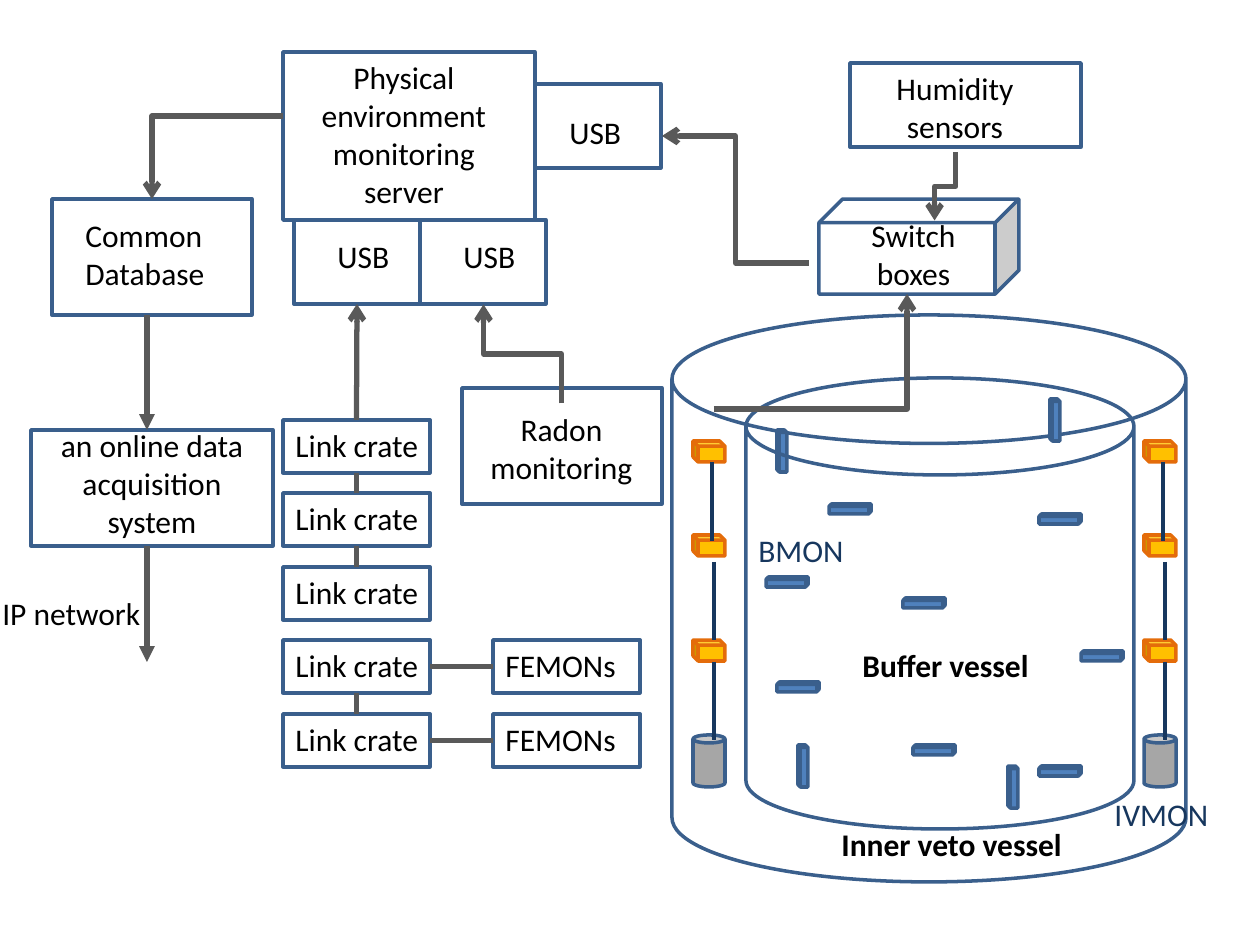
"""Build the detector monitoring system diagram slide."""
from pptx import Presentation
from pptx.dml.color import RGBColor
from pptx.enum.shapes import MSO_CONNECTOR as LINK, MSO_SHAPE as SHAPE
from pptx.enum.text import MSO_AUTO_SIZE as FIT, PP_ALIGN as ALIGN
from pptx.oxml.ns import qn
from pptx.util import Pt
from lxml.etree import SubElement

PX = 914400 / 126
COLORS = {
    "outline": "3A5F8C", "sensor": "4F81BD", "module": "FFC000", "module_edge": "E46C0A",
    "weight": "A6A6A6", "string": "17375E", "link": "595959", "white": "FFFFFF", "black": "000000",
}

prs = Presentation()
prs.slide_width, prs.slide_height = round(1260 * PX), round(945 * PX)
slide = prs.slides.add_slide(prs.slide_layouts[6])


def add_part(kind, left, top, width, height, fill=None, edge="outline", mirrored=False):
    part = slide.shapes.add_shape(kind, *(round(v * PX) for v in (left, top, width, height)))
    part.shadow.inherit = False
    if fill:
        part.fill.solid()
        part.fill.fore_color.rgb = RGBColor.from_string(COLORS[fill])
    else:
        part.fill.background()
    part.line.color.rgb = RGBColor.from_string(COLORS[edge])
    part.line.width = Pt(2)
    if mirrored:
        part._element.spPr.find(qn("a:xfrm")).set("flipH", "1")
    return part


def add_link(kind, x1, y1, x2, y2, head=None, color="link", weight=3):
    link = slide.shapes.add_connector(kind, *(round(v * PX) for v in (x1, y1, x2, y2)))
    link.line.color.rgb = RGBColor.from_string(COLORS[color])
    link.line.width = Pt(weight)
    properties = link._element.spPr
    if head:
        SubElement(properties.find(qn("a:ln")), qn("a:tailEnd"), type=head)
    SubElement(properties, qn("a:effectLst"))
    return link


add_part(SHAPE.CAN, 672, 315, 514, 567)
for left, top in [(766, 577), (777, 682), (903, 598), (913, 745), (1039, 514),
                  (829, 504), (1081, 651), (1039, 766)]:
    add_part(SHAPE.CUBE, left, top, 42, 10, "sensor")
for left, top in [(777, 430), (1050, 399), (798, 745), (1008, 766)]:
    add_part(SHAPE.CUBE, left, top, 10, 42, "sensor", mirrored=True)
add_part(SHAPE.CAN, 746, 378, 388, 451)

for left in (1144, 693):
    for top in (441, 535, 640):
        add_part(SHAPE.CUBE, left, top, 32, 21, "module", "module_edge", mirrored=True)
    add_part(SHAPE.CAN, left, 735, 32, 52, "weight")
    for offset, top, bottom in [(19, 462, 541), (21, 562, 640), (21, 662, 740)]:
        add_link(LINK.STRAIGHT, left + offset, top, left + offset, bottom, None, "string", 2.25)

add_part(SHAPE.CUBE, 819, 199, 200, 95, "white")
add_part(SHAPE.RECTANGLE, 283, 52, 252, 168, "white")
add_part(SHAPE.RECTANGLE, 535, 84, 126, 84, "white")
crate_usb = add_part(SHAPE.RECTANGLE, 294, 220, 126, 84, "white")
add_part(SHAPE.RECTANGLE, 420, 220, 126, 84)
for left, top, width, height in [(850, 63, 231, 84), (52, 199, 200, 116),
                                 (462, 388, 200, 116), (31, 430, 242, 116)]:
    add_part(SHAPE.RECTANGLE, left, top, width, height)

crate_tops = [420, 493, 567, 640, 714]
crates = [add_part(SHAPE.RECTANGLE, 283, top, 147, 53) for top in crate_tops]
femons = [add_part(SHAPE.RECTANGLE, 493, top, 147, 53) for top in crate_tops[3:]]

joints = [(crates[0], 0, crate_usb, 2, "arrow")]
joints += [(crates[i], 2, crates[i + 1], 0, None) for i in (0, 1, 3)]
joints += [(femon, 1, crate, 3, None) for femon, crate in zip(femons, crates[3:])]
for start, start_side, end, end_side, head in joints:
    joint = add_link(LINK.STRAIGHT, 0, 0, 0, 0, head)
    joint.begin_connect(start, start_side)
    joint.end_connect(end, end_side)

for top, bottom in [(315, 430), (546, 662)]:
    add_link(LINK.STRAIGHT, 147, top, 147, bottom, "triangle")

for x1, y1, x2, y2, preset, turn in [
    (714, 409, 907, 294, "bentConnector2", 0),
    (809, 263, 662, 136, "bentConnector3", 0),
    (283, 116, 152, 199, "bentConnector2", 0),
    (911, 176, 979, 197, "bentConnector3", 90),
    (473, 393, 572, 315, "bentConnector3", 270),
]:
    route = add_link(LINK.ELBOW, x1, y1, x2, y2, "arrow")._element.spPr
    route.find(qn("a:prstGeom")).set("prst", preset)
    if turn:
        route.find(qn("a:xfrm")).set("rot", str(turn * 60000))

labels = [
    ("Physical environment monitoring server", 304, 52, 200, 165, ALIGN.CENTER, "black", False),
    ("Switch boxes", 840, 210, 147, 89, ALIGN.CENTER, "black", False),
    ("Humidity sensors", 850, 63, 210, 89, ALIGN.CENTER, "black", False),
    ("Radon monitoring", 472, 404, 179, 89, ALIGN.CENTER, "black", False),
    ("an online data acquisition system", 31, 420, 242, 127, ALIGN.CENTER, "black", False),
    ("Common Database", 73, 210, 179, 89, ALIGN.LEFT, "black", False),
    ("Buffer vessel", 850, 640, 221, 50, ALIGN.LEFT, "black", True),
    ("Inner veto vessel", 829, 819, 284, 50, ALIGN.LEFT, "black", True),
    ("BMON", 746, 525, 158, 50, ALIGN.LEFT, "string", False),
    ("IVMON", 1102, 789, 158, 50, ALIGN.LEFT, "string", False),
    ("IP network", -10, 588, 199, 50, ALIGN.LEFT, "black", False),
]
labels += [("USB", left, top, 116, 50, ALIGN.LEFT, "black", False)
           for left, top in [(557, 107), (325, 231), (451, 231)]]
labels += [("Link crate", 283, top, 179, 50, ALIGN.LEFT, "black", False) for top in crate_tops]
labels += [("FEMONs", 493, top, 158, 50, ALIGN.LEFT, "black", False) for top in crate_tops[3:]]
for words, left, top, width, height, align, color, bold in labels:
    frame = slide.shapes.add_textbox(
        *(round(v * PX) for v in (left, top, width, height))).text_frame
    frame.word_wrap = True
    frame.auto_size = FIT.SHAPE_TO_FIT_TEXT
    line = frame.paragraphs[0]
    line.text = words
    line.alignment = align
    line.font.name = "Calibri"
    line.font.size = Pt(18)
    line.font.bold = bold
    line.font.color.rgb = RGBColor.from_string(COLORS[color])

prs.save("out.pptx")
